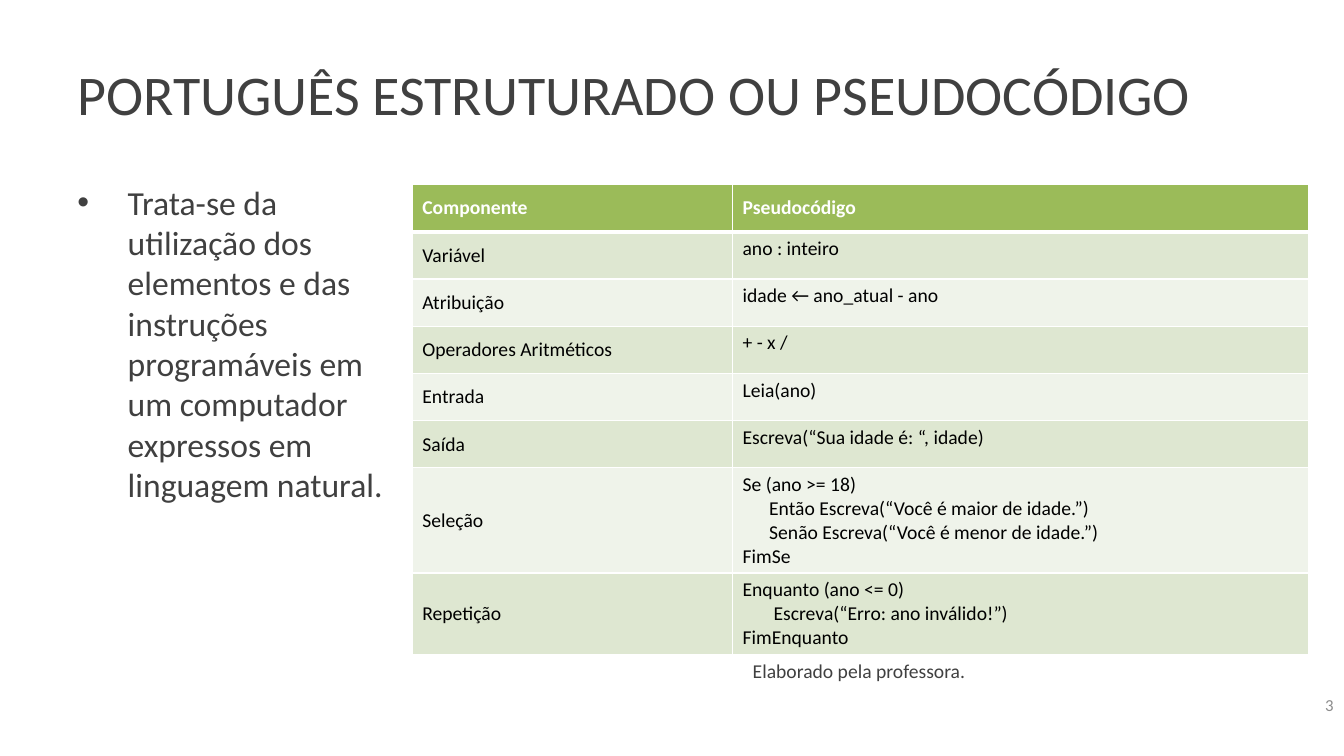
from lxml import etree
from pptx import Presentation
from pptx.dml.color import RGBColor
from pptx.enum import text
from pptx.oxml import ns
from pptx.util import Cm, Pt

TITLE = "PORTUGUÊS ESTRUTURADO OU PSEUDOCÓDIGO"
DEFINITION = ("Trata-se da utilização dos elementos e das instruções programáveis "
              "em um computador expressos em linguagem natural.")
CREDIT = "Elaborado pela professora."
PAGE_NUMBER = "3"
HEADER = ("Componente", "Pseudocódigo")
COMPONENTS = [
    ("Variável", "ano : inteiro"),
    ("Atribuição", "idade ← ano_atual - ano"),
    ("Operadores Aritméticos", "+ - x /"),
    ("Entrada", "Leia(ano)"),
    ("Saída", "Escreva(“Sua idade é: “, idade)"),
    ("Seleção", "Se (ano >= 18)\n"
                "      Então Escreva(“Você é maior de idade.”)\n"
                "      Senão Escreva(“Você é menor de idade.”)\n"
                "FimSe"),
    ("Repetição", "Enquanto (ano <= 0)\n"
                  "       Escreva(“Erro: ano inválido!”)\n"
                  "FimEnquanto"),
]
COLUMN_WIDTHS = (8.07, 14.51)
ROW_HEIGHT, LINE_HEIGHT, CELL_PADDING = 1.19, 0.6, 0.25
GREEN, BANDS = "9BBB59", ("DEE7D1", "EFF3EA")
WHITE, BLACK, DARK, GREY = "FFFFFF", "000000", "404040", "8C8C8C"
MIDDLE, TOP = text.MSO_ANCHOR.MIDDLE, text.MSO_ANCHOR.TOP


def color(value):
    return RGBColor.from_string(value)


def style(frame, size, ink, bold=False):
    for para in frame.paragraphs:
        for span in para.runs:
            span.font.name, span.font.size = "Calibri", Pt(size)
            span.font.bold, span.font.color.rgb = bold, color(ink)


def add_text(page, place, words, size, ink=DARK, anchor=TOP, wrap=True):
    frame = page.shapes.add_textbox(*map(Cm, place)).text_frame
    frame.text, frame.word_wrap, frame.vertical_anchor = words, wrap, anchor
    style(frame, size, ink)
    return frame


def add_bullet(para, indent):
    props = para._p.get_or_add_pPr()
    props.set("marL", str(Cm(indent)))
    props.set("indent", str(-Cm(indent)))
    etree.SubElement(props, ns.qn("a:buFont")).set("typeface", "Arial")
    etree.SubElement(props, ns.qn("a:buChar")).set("char", "•")


def add_borders(cell, bottom):
    """Draw white edges, the lower one of the given width in points."""
    props = cell._tc.get_or_add_tcPr()
    widths = {"lnL": 1, "lnR": 1, "lnT": 1, "lnB": bottom}
    for position, (edge, width) in enumerate(widths.items()):
        line = etree.Element(ns.qn("a:" + edge), w=str(Pt(width)))
        fill = etree.SubElement(line, ns.qn("a:solidFill"))
        etree.SubElement(fill, ns.qn("a:srgbClr")).set("val", WHITE)
        props.insert(position, line)


def add_components(page, left, top):
    rows = [HEADER] + COMPONENTS
    heights = [max(ROW_HEIGHT, CELL_PADDING + LINE_HEIGHT * len(code.split("\n")))
               for _, code in rows]
    table = page.shapes.add_table(
        len(rows), len(HEADER), Cm(left), Cm(top),
        Cm(sum(COLUMN_WIDTHS)), Cm(sum(heights))).table
    for column, width in zip(table.columns, COLUMN_WIDTHS):
        column.width = Cm(width)
    for r, words in enumerate(rows):
        table.rows[r].height = Cm(heights[r])
        is_header = r == 0
        for c, word in enumerate(words):
            cell = table.cell(r, c)
            cell.text_frame.text = word
            cell.vertical_anchor = MIDDLE if is_header or c == 0 else TOP
            style(cell.text_frame, 14, WHITE if is_header else BLACK, is_header)
            cell.fill.solid()
            cell.fill.fore_color.rgb = color(GREEN if is_header else BANDS[(r - 1) % 2])
            add_borders(cell, 3 if is_header else 1)


def main():
    deck = Presentation()
    deck.slide_width, deck.slide_height = Cm(33.87), Cm(19.05)
    page = deck.slides.add_slide(deck.slide_layouts[6])
    add_text(page, (1.7, 0.76, 30.48, 3.18), TITLE, 40, anchor=MIDDLE)
    definition = add_text(page, (1.7, 4.45, 8.79, 12.09), DEFINITION, 24)
    add_bullet(definition.paragraphs[0], 1.27)
    add_components(page, 10.39, 4.65)
    add_text(page, (18.72, 16.48, 5.92, 0.86), CREDIT, 14, wrap=False)
    number = add_text(page, (25.96, 17.25, 7.9, 1.02), PAGE_NUMBER, 12, GREY, MIDDLE)
    number.paragraphs[0].alignment = text.PP_ALIGN.RIGHT
    deck.save("out.pptx")


if __name__ == "__main__":
    main()
